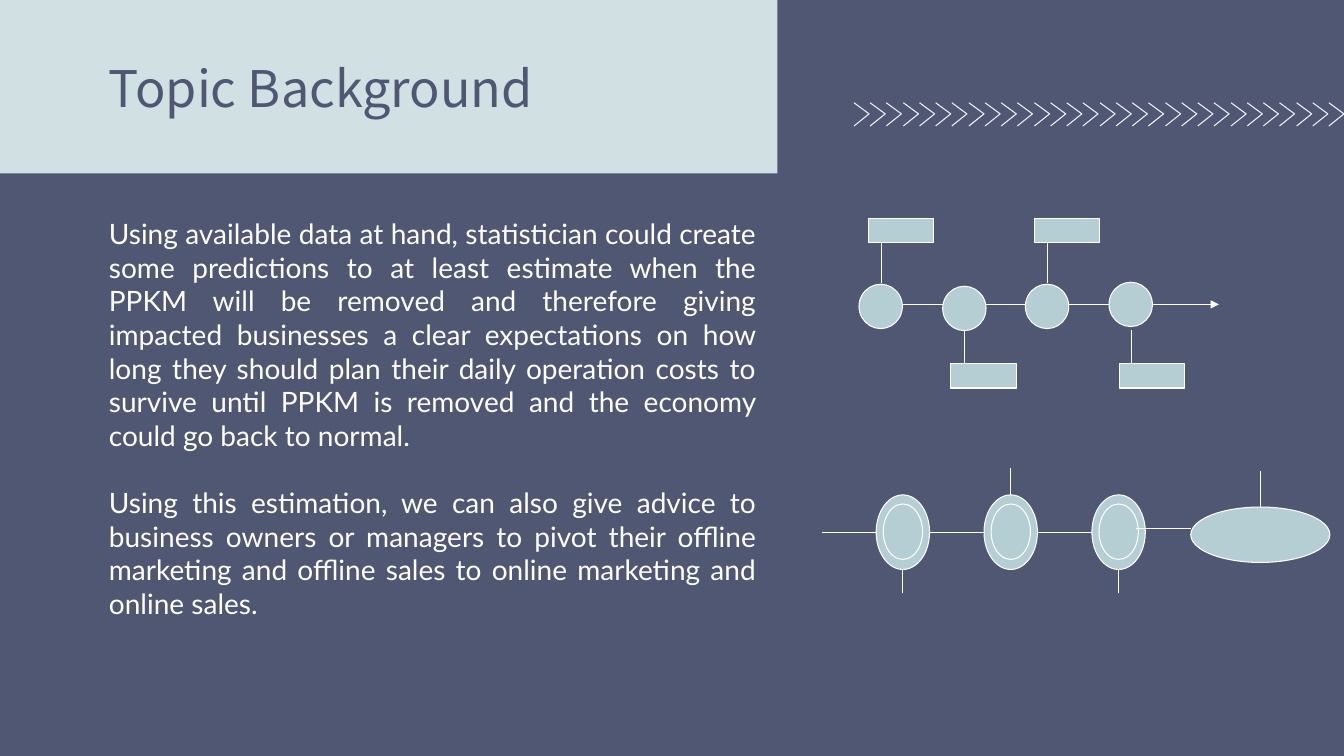
from dataclasses import dataclass

from lxml.etree import SubElement
from pptx import Presentation
from pptx.dml.color import RGBColor
from pptx.enum.shapes import MSO_CONNECTOR, MSO_SHAPE
from pptx.enum.text import MSO_ANCHOR, MSO_AUTO_SIZE, PP_ALIGN
from pptx.oxml.ns import qn
from pptx.util import Pt

PX = 9144  # EMU in one px, 100 px to the inch


@dataclass(frozen=True)
class Theme:
    background: RGBColor = RGBColor(0x4F, 0x57, 0x73)
    band: RGBColor = RGBColor(0xD0, 0xE0, 0xE3)
    chevron: RGBColor = RGBColor(0xF3, 0xF3, 0xF3)
    accent: RGBColor = RGBColor(0xB5, 0xCE, 0xD3)
    white: RGBColor = RGBColor(0xFF, 0xFF, 0xFF)
    title_font: str = "Noto Sans CJK KR"
    body_font: str = "Lato"
    title_size: Pt = Pt(36)
    body_size: Pt = Pt(20)
    paragraph_gap: Pt = Pt(24)
    line_width: Pt = Pt(0.75)


THEME = Theme()

BODY_TEXT = [
    "Using available data at hand, statistician could create some predictions to at least "
    "estimate when the PPKM will be removed and therefore giving impacted businesses a clear "
    "expectations on how long they should plan their daily operation costs to survive until "
    "PPKM is removed and the economy could go back to normal.",
    "Using this estimation, we can also give advice to business owners or managers to pivot "
    "their offline marketing and offline sales to online marketing and online sales.",
]


def add_figure(page, kind, left, top, width, height, fill=THEME.accent, outlined=True):
    figure = page.shapes.add_shape(kind, left * PX, top * PX, width * PX, height * PX)
    figure.shadow.inherit = False
    figure.fill.solid()
    figure.fill.fore_color.rgb = fill
    if outlined:
        figure.line.color.rgb = THEME.white
        figure.line.width = THEME.line_width
    else:
        figure.line.fill.background()
    return figure


def add_line(page, x1, y1, x2, y2, arrow=False):
    line = page.shapes.add_connector(
        MSO_CONNECTOR.STRAIGHT, x1 * PX, y1 * PX, x2 * PX, y2 * PX
    )
    line.line.color.rgb = THEME.white
    line.line.width = THEME.line_width
    if arrow:
        SubElement(line.line._get_or_add_ln(), qn("a:tailEnd"), type="triangle")
    SubElement(line.element.spPr, qn("a:effectLst"))


def add_chevron(page, left, top, width, height):
    builder = page.shapes.build_freeform(left, top, scale=PX)
    builder.add_line_segments(
        [(left + width, top + height // 2), (left, top + height)], close=False
    )
    chevron = builder.convert_to_shape()
    chevron.shadow.inherit = False
    chevron.fill.background()
    chevron.line.color.rgb = THEME.chevron
    chevron.line.width = THEME.line_width


def place_text(box, left, top, width, height, anchor):
    box.left, box.top, box.width, box.height = (
        length * PX for length in (left, top, width, height)
    )
    frame = box.text_frame
    frame.word_wrap = True
    frame.auto_size = MSO_AUTO_SIZE.NONE
    frame.vertical_anchor = anchor
    frame.margin_left = frame.margin_right = 13 * PX
    frame.margin_top = frame.margin_bottom = 13 * PX
    return frame


def add_span(para, text, font, size, color):
    span = para.add_run()
    span.text = text
    span.font.name = font
    span.font.size = size
    span.font.color.rgb = color


def fill_title(page):
    title = page.shapes.title
    frame = place_text(title, 95, 25, 1134, 123, MSO_ANCHOR.MIDDLE)
    para = frame.paragraphs[0]
    para.alignment = PP_ALIGN.LEFT
    add_span(para, "Topic Background", THEME.title_font, THEME.title_size, THEME.background)
    # The band lies behind the title
    band = add_figure(page, MSO_SHAPE.RECTANGLE, 0, 0, 771, 172, THEME.band, outlined=False)
    title.element.addprevious(band.element)


def fill_body(page):
    frame = place_text(page.placeholders[1], 95, 202, 668, 441, MSO_ANCHOR.TOP)
    for index, text in enumerate(BODY_TEXT):
        para = frame.add_paragraph() if index else frame.paragraphs[0]
        properties = para._p.get_or_add_pPr()
        properties.set("marL", "0")
        properties.set("indent", "0")
        SubElement(properties, qn("a:buNone"))
        para.alignment = PP_ALIGN.JUSTIFY
        para.space_before = THEME.paragraph_gap if index else Pt(0)
        add_span(para, text, THEME.body_font, THEME.body_size, THEME.white)


def draw_chevrons(page):
    count, first, last = 30, 847, 1318
    for index in range(count):
        left = first + round(index * (last - first) / (count - 1))
        add_chevron(page, left, 102, 15, 23)


def draw_timeline(page):
    # Node left and top, label left, and whether the label is above
    stops = [
        (852, 282, 861, True),
        (935, 284, 943, False),
        (1017, 282, 1026, True),
        (1100, 280, 1110, False),
    ]
    axis, node_width, node_height = 302, 43, 44
    ends = [stop[0] for stop in stops[1:]] + [1209]
    for (left, top, label_left, above), end in zip(stops, ends):
        stem = left + node_width // 2 + 1
        label_top = 217 if above else 361
        add_line(page, left + node_width, axis, end, axis, arrow=end == ends[-1])
        if above:
            add_line(page, stem, 281, stem, 240)
        else:
            add_line(page, stem, 361, stem, 327)
        add_figure(page, MSO_SHAPE.RECTANGLE, label_left, label_top, 65, 24)
        add_figure(page, MSO_SHAPE.OVAL, left, top, node_width, node_height)


def draw_ring_chain(page):
    axis, pitch, width = 528, 107, 53
    for index in range(3):
        left = 869 + index * pitch
        center = left + width // 2
        add_line(page, left + width - pitch, axis, left, axis)
        if index == 1:
            add_line(page, center, 500, center, 464)
        else:
            add_line(page, center, 555, center, 588)
        add_figure(page, MSO_SHAPE.OVAL, left, 491, width, 74)
        add_figure(page, MSO_SHAPE.OVAL, left + 7, 500, 39, 55)
    # Closing oval
    add_line(page, 1250, 503, 1250, 467)
    add_figure(page, MSO_SHAPE.OVAL, 1181, 503, 138, 55)
    add_line(page, 1127, 524, 1181, 524)


def main():
    deck = Presentation()
    deck.slide_width, deck.slide_height = 1333 * PX, 750 * PX
    page = deck.slides.add_slide(deck.slide_layouts[1])
    page.background.fill.solid()
    page.background.fill.fore_color.rgb = THEME.background
    fill_title(page)
    fill_body(page)
    draw_chevrons(page)
    draw_timeline(page)
    draw_ring_chain(page)
    deck.save("out.pptx")


if __name__ == "__main__":
    main()
